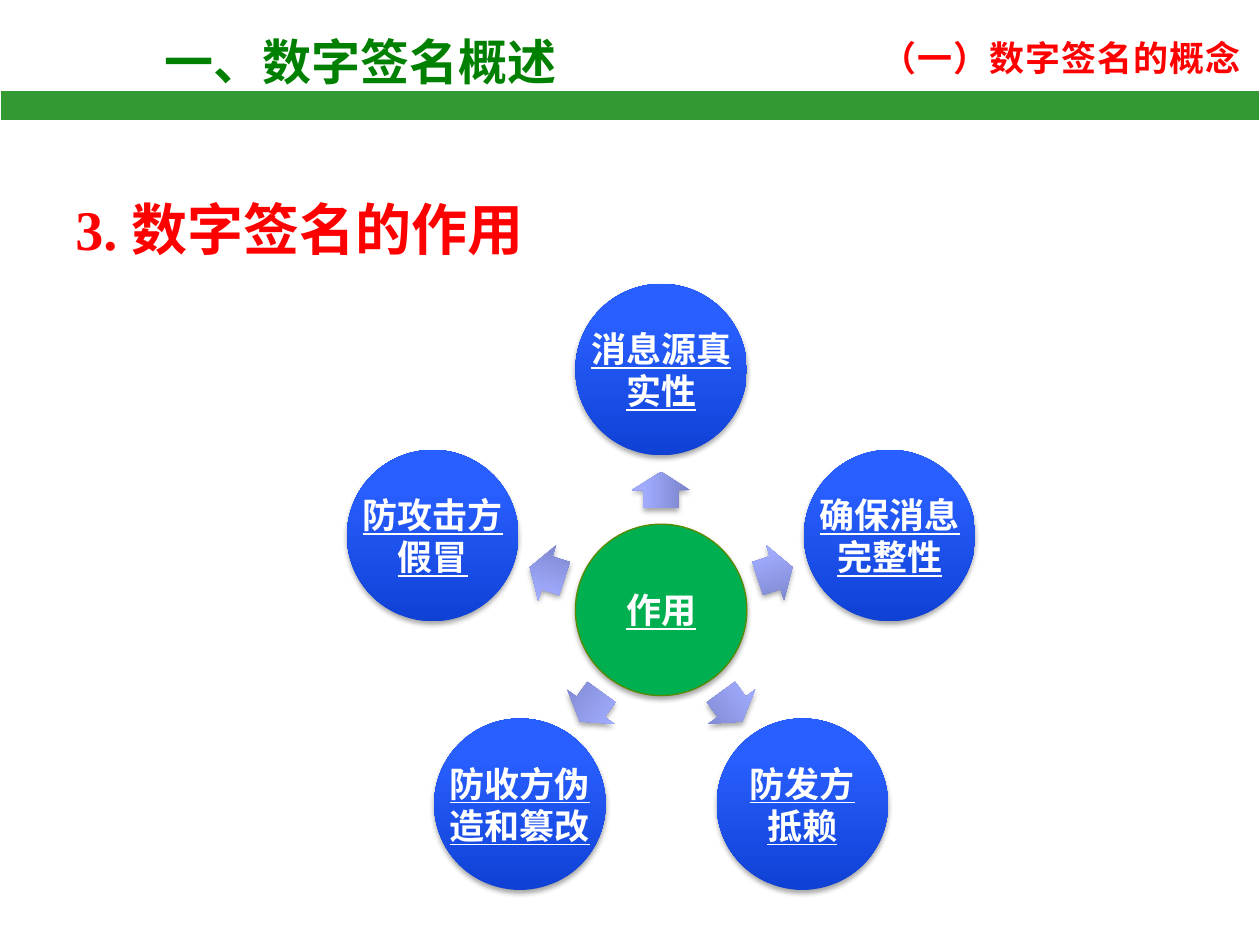
import copy
import math

from lxml import etree
from pptx import Presentation
from pptx.dml.color import RGBColor
from pptx.enum import shapes, text
from pptx.oxml.ns import qn
from pptx.util import Pt

CJK = "Noto Sans CJK SC"
CENTER_X, CENTER_Y = 377.8, 348.5
DIAMETER = 98
ORBIT, ARROW_ORBIT = 137.3, 68.5
ARROW_W, ARROW_H = 20.9, 33.1
BLUE = ("0F41D5", "295FFF", "2B60FF")
LAVENDER = ("7982C7", "A1ACFF", "A3AEFF")
EFFECTS = ("消息源真实性", "确保消息完整性", "防发方\n抵赖", "防收方伪造和篡改", "防攻击方假冒")


def rgb(value):
    return RGBColor.from_string(value)


def add_text(slide, box, content, size, color, font=CJK, wrap=True):
    tb = slide.shapes.add_textbox(*map(Pt, box))
    tf = tb.text_frame
    tf.word_wrap = wrap
    tf.text = content
    for p in tf.paragraphs:
        for r in p.runs:
            r.font.size = Pt(size)
            r.font.bold = True
            r.font.name = font
            r.font.color.rgb = rgb(color)
            ea = etree.SubElement(r.font._element, qn("a:ea"))
            ea.set("typeface", CJK)
    return tf


def add_shape(slide, kind, box, fill=None, line=None):
    sp = slide.shapes.add_shape(kind, *map(Pt, box))
    sp.shadow.inherit = False
    if fill:
        sp.fill.solid()
        sp.fill.fore_color.rgb = rgb(fill)
    if line:
        sp.line.color.rgb = rgb(line)
        sp.line.width = Pt(0.75)
    else:
        sp.line.fill.background()
    return sp


def set_gradient(sp, colors):
    """Fill from bottom to top with three stops."""
    sp.fill.gradient()
    sp.fill.gradient_angle = 90
    stops = sp._element.spPr.find(qn("a:gradFill")).find(qn("a:gsLst"))
    stops.append(copy.deepcopy(stops[-1]))
    for stop, color, position in zip(sp.fill.gradient_stops, colors, (0, 0.8, 1)):
        stop.color.rgb = rgb(color)
        stop.position = position


def add_shadow(sp):
    effects = sp._element.spPr.find(qn("a:effectLst"))
    shadow = etree.SubElement(effects, qn("a:outerShdw"), blurRad=str(Pt(3.1)),
                              dist=str(Pt(1.8)), dir="5400000", rotWithShape="0")
    color = etree.SubElement(shadow, qn("a:srgbClr"), val="000000")
    etree.SubElement(color, qn("a:alpha"), val="35000")


def around(x, y, w, h):
    return x - w / 2, y - h / 2, w, h


def polar(angle, radius):
    a = math.radians(angle)
    return CENTER_X + radius * math.cos(a), CENTER_Y + radius * math.sin(a)


def add_circle(slide, x, y, label, fill=None, line=None):
    box = around(x, y, DIAMETER, DIAMETER)
    sp = add_shape(slide, shapes.MSO_SHAPE.OVAL, box, fill, line)
    if not fill:
        set_gradient(sp, BLUE)
    add_shadow(sp)
    tf = add_text(slide, box, label, 20, "FFFFFF")
    tf.vertical_anchor = text.MSO_ANCHOR.MIDDLE
    tf.margin_left = tf.margin_right = tf.margin_top = tf.margin_bottom = Pt(2)
    for p in tf.paragraphs:
        p.alignment = text.PP_ALIGN.CENTER
        for r in p.runs:
            r.font.underline = True


def add_arrow(slide, angle):
    box = around(*polar(angle, ARROW_ORBIT), ARROW_W, ARROW_H)
    sp = add_shape(slide, shapes.MSO_SHAPE.RIGHT_ARROW, box)
    sp.adjustments[0], sp.adjustments[1] = 0.6, 0.5
    sp.rotation = angle % 360
    set_gradient(sp, LAVENDER)
    add_shadow(sp)


def add_header(slide):
    tf = add_text(slide, (496.8, 17.3, 222.5, 31.7), "（一）数字签名的概念", 20, "FF0000", wrap=False)
    tf.paragraphs[0].runs[0].font._element.set("spc", "50")
    add_text(slide, (87, 14.4, 322, 41), "一、数字签名概述", 28, "008000")
    add_shape(slide, shapes.MSO_SHAPE.RECTANGLE, (0, 51.8, 720, 17.3), "339933", "FFFFFF")


def add_heading(slide):
    tf = add_text(slide, (36, 100, 648, 380), "3. 数字签名的作用", 32, "FF0000", "Times New Roman")
    p = tf.paragraphs[0]
    p.line_spacing = 1.2
    p.space_before, p.space_after = Pt(6), Pt(18)
    pPr = p._p.get_or_add_pPr()
    pPr.set("marL", str(Pt(27)))
    pPr.set("indent", str(Pt(-27)))


def main():
    prs = Presentation()
    prs.slide_width, prs.slide_height = Pt(720), Pt(540)
    slide = prs.slides.add_slide(prs.slide_layouts[6])
    add_header(slide)
    add_heading(slide)
    add_circle(slide, CENTER_X, CENTER_Y, "作用", "00B050", "5A8800")
    for i, label in enumerate(EFFECTS):
        angle = -90 + i * 360 / len(EFFECTS)
        add_arrow(slide, angle)
        add_circle(slide, *polar(angle, ORBIT), label)
    prs.save("out.pptx")


if __name__ == "__main__":
    main()
